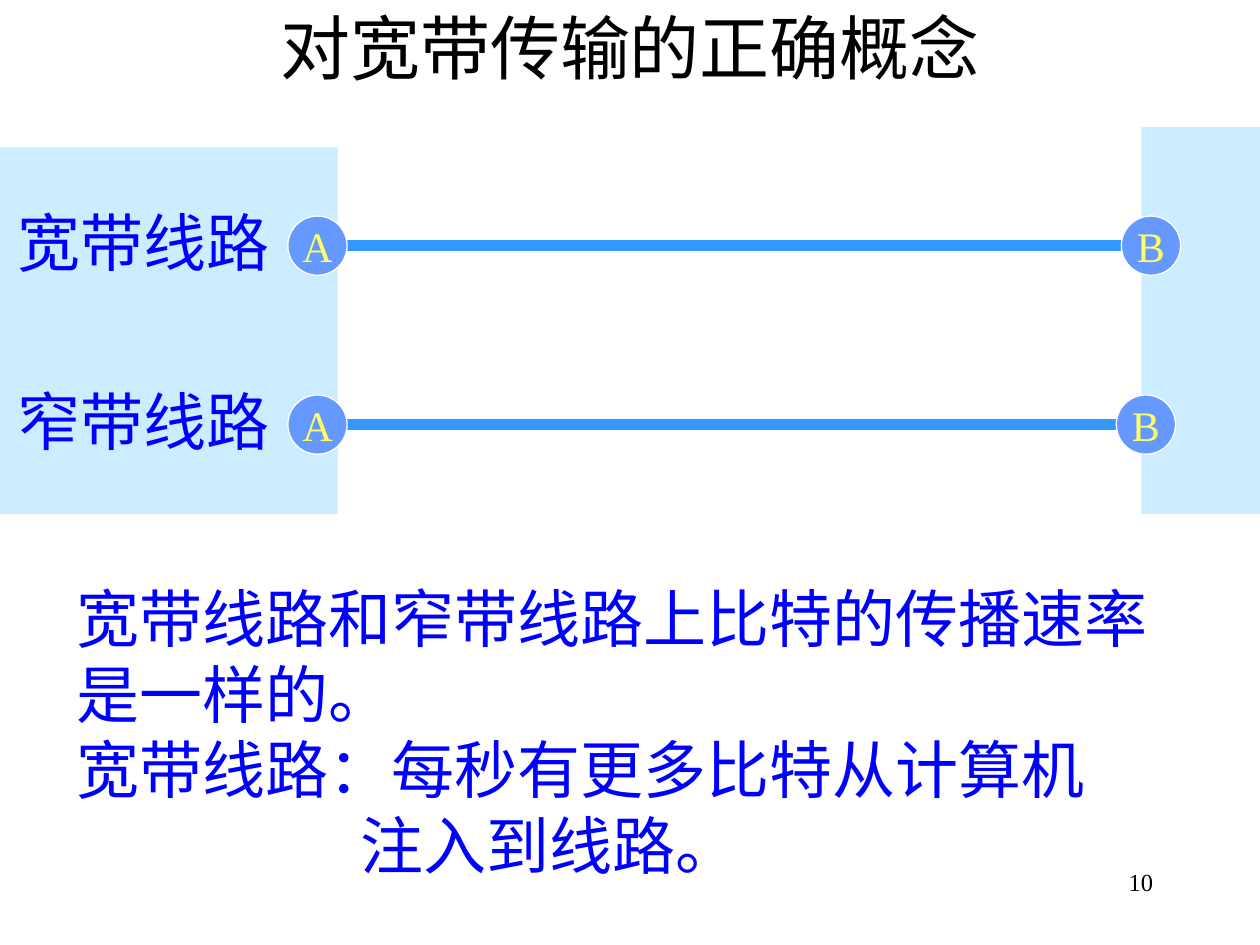
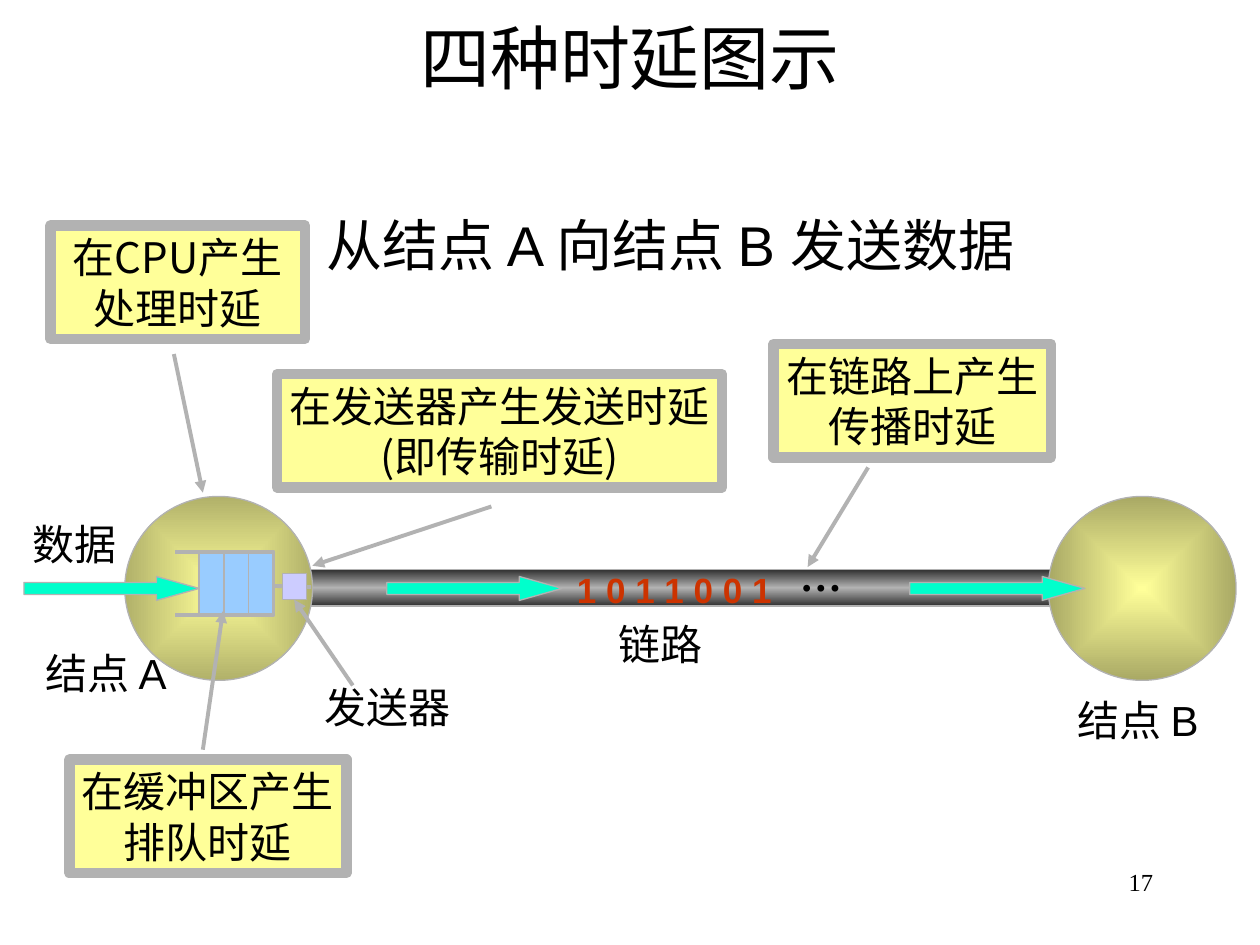
from lxml import etree
from pptx import Presentation
from pptx.dml.color import RGBColor
from pptx.enum.shapes import MSO_CONNECTOR, MSO_SHAPE
from pptx.enum.text import MSO_ANCHOR, MSO_AUTO_SIZE, PP_ALIGN
from pptx.oxml.ns import nsdecls, qn
from pptx.oxml import parse_xml
from pptx.util import Inches, Pt

STRAIGHT = MSO_CONNECTOR.STRAIGHT
RECTANGLE, OVAL, ARROW = MSO_SHAPE.RECTANGLE, MSO_SHAPE.OVAL, MSO_SHAPE.RIGHT_ARROW
LEFT, CENTER, RIGHT = PP_ALIGN.LEFT, PP_ALIGN.CENTER, PP_ALIGN.RIGHT
TOP, MIDDLE = MSO_ANCHOR.TOP, MSO_ANCHOR.MIDDLE
NO_AUTOFIT = MSO_AUTO_SIZE.NONE

COLUMNS, ROWS = 100, 75
CELL = Inches(0.1)
SERIF, SANS, CHINESE = "Times New Roman", "Arial", "Noto Sans CJK SC"
LINE_HEIGHT = 1.2
BOTTOM_SIDE = 2

COLORS = {
    "black": "000000",
    "white": "FFFFFF",
    "text_blue": "0000FF",
    "panel": "CCECFF",
    "line": "3399FF",
    "endpoint": "6699FF",
    "endpoint_text": "FFFF66",
    "gray": "B2B2B2",
    "pipe_edge": "303030",
    "yellow": "FFFF99",
    "node_a_edge": "B1B16A",
    "node_b_edge": "A9A965",
    "queue": "99CCFF",
    "transmitter": "CCCCFF",
    "arrow": "00FFCC",
    "bits": "CC3300",
}


def color(name):
    return RGBColor.from_string(COLORS[name])


def grid(*cells):
    return [round(cell * CELL) for cell in cells]


def write(shape, text, size, font=SERIF, ink="black", align=LEFT, anchor=TOP,
          wrap=False, bold=False):
    frame = shape.text_frame
    frame.text = text
    frame.auto_size = NO_AUTOFIT
    frame.word_wrap = wrap
    frame.vertical_anchor = anchor
    for paragraph in frame.paragraphs:
        paragraph.alignment = align
        paragraph.line_spacing = Pt(size * LINE_HEIGHT)
        for run in paragraph.runs:
            run.font.name = font
            run.font.size = Pt(size)
            run.font.bold = bold
            run.font.color.rgb = color(ink)
            east_asian = etree.Element(qn("a:ea"), typeface=CHINESE)
            run.font._element.find(qn("a:latin")).addnext(east_asian)


def add_label(slide, box, text, size=24, **style):
    label = slide.shapes.add_textbox(*grid(*box))
    write(label, text, size, **style)
    return label


def outline(shape, name, width):
    if name:
        shape.line.color.rgb = color(name)
        shape.line.width = Pt(width)
    else:
        shape.line.fill.background()


def add_block(slide, kind, box, fill, line=None, width=0.75):
    shape = slide.shapes.add_shape(kind, *grid(*box))
    shape.shadow.inherit = False
    shape.fill.solid()
    shape.fill.fore_color.rgb = color(fill)
    outline(shape, line, width)
    return shape


def add_gradient_block(slide, kind, box, stops, direction):
    shape = add_block(slide, kind, box, stops[0][1], "gray")
    stop_list = "".join(
        f'<a:gs pos="{percent * 1000}"><a:srgbClr val="{COLORS[name]}"/></a:gs>'
        for percent, name in stops)
    gradient = parse_xml(f'<a:gradFill {nsdecls("a")} rotWithShape="1">'
                         f'<a:gsLst>{stop_list}</a:gsLst>{direction}</a:gradFill>')
    properties = shape._element.spPr
    properties.replace(properties.find(qn("a:solidFill")), gradient)
    return shape


def add_line(slide, points, name="gray", width=2.25, arrow=False):
    connector = slide.shapes.add_connector(STRAIGHT, *grid(*points))
    outline(connector, name, width)
    properties = connector._element.spPr
    if arrow:
        etree.SubElement(properties.find(qn("a:ln")), qn("a:tailEnd"), type="triangle")
    etree.SubElement(properties, qn("a:effectLst"))
    return connector


def add_base_slide(presentation, title, title_top, number):
    slide = presentation.slides.add_slide(presentation.slide_layouts[5])
    heading = slide.shapes.title
    heading.left, heading.top, heading.width, heading.height = grid(7.5, title_top, 85, 7.9)
    write(heading, title, 40, align=CENTER, anchor=MIDDLE, wrap=True)
    add_label(slide, (71.7, 68.3, 20.8, 5), number, 14, align=RIGHT, wrap=True)
    return slide


def add_endpoint(slide, center_column, center_row, letter):
    size = 4.7
    box = (center_column - size / 2, center_row - size / 2, size, size)
    endpoint = add_block(slide, OVAL, box, "endpoint", "white")
    write(endpoint, letter, 24, ink="endpoint_text", align=CENTER, anchor=MIDDLE)


def add_circuit(slide, name, row, end_column):
    start_column = 25.2
    add_line(slide, (start_column, row, end_column, row), "line", 6)
    add_endpoint(slide, start_column, row, "A")
    add_endpoint(slide, end_column, row, "B")
    add_label(slide, (0.4, row - 3.8, 22, 7), name, 36, ink="text_blue")


def add_node(slide, left, edge):
    center = '<a:path path="rect"><a:fillToRect l="50000" t="50000" r="50000" b="50000"/></a:path>'
    add_gradient_block(slide, OVAL, (left, 39.4, 14.9, 14.6),
                       [(0, "yellow"), (100, edge)], center)


def add_queue(slide):
    left, top, slot, height = 15.8, 43.8, 1.97, 5
    right, bottom, mouth = left + 3 * slot, top + height, 13.9
    add_block(slide, RECTANGLE, (left, top, 3 * slot, height), "queue", "gray")
    corners = [grid(*corner) for corner in ((right, top), (right, bottom), (mouth, bottom))]
    builder = slide.shapes.build_freeform(*grid(mouth, top))
    builder.add_line_segments(corners, close=False)
    frame = builder.convert_to_shape()
    frame.shadow.inherit = False
    frame.fill.background()
    outline(frame, "gray", 2.25)
    for index in range(3):
        column = left + index * slot
        add_line(slide, (column, top, column, bottom), width=0.75)


def add_data_arrow(slide, left):
    arrow = add_block(slide, ARROW, (left, 45.75, 13.9, 1.9), "arrow", "gray")
    arrow.adjustments[0] = 0.5
    arrow.adjustments[1] = 1.78


def add_delay_note(slide, left, top, width, text):
    note = add_block(slide, RECTANGLE, (left, top, width, 9), "yellow", "gray", 6)
    write(note, text, 24, font=CHINESE, align=CENTER)


def build_broadband_slide(presentation):
    slide = add_base_slide(presentation, "对宽带传输的正确概念", -0.3, "10")
    panel_bottom = 40.8
    for left, top, width in ((0, 11.7, 26.8), (90.6, 10.1, COLUMNS - 90.6)):
        add_block(slide, RECTANGLE, (left, top, width, panel_bottom - top), "panel")
    add_circuit(slide, "宽带线路", 19.5, 91.35)
    add_circuit(slide, "窄带线路", 33.7, 90.95)
    conclusion = add_label(
        slide, (5.1, 45.5, 90.6, 25),
        "宽带线路和窄带线路上比特的传播速率是一样的。\n"
        "宽带线路：每秒有更多比特从计算机\n注入到线路。",
        36, ink="text_blue", wrap=True)
    last_paragraph = conclusion.text_frame.paragraphs[-1]
    last_paragraph._p.get_or_add_pPr().set("marL", str(Inches(2.25)))


def build_delay_slide(presentation):
    slide = add_base_slide(presentation, "四种时延图示", 0.5, "17")
    add_gradient_block(slide, RECTANGLE, (23.8, 45.2, 60.4, 2.9),
                       [(0, "pipe_edge"), (50, "gray"), (100, "pipe_edge")],
                       '<a:lin ang="5400000" scaled="1"/>')
    add_node(slide, 9.9, "node_a_edge")
    add_node(slide, 83.2, "node_b_edge")
    add_queue(slide)
    add_line(slide, (21.7, 46.5, 24.7, 46.6))
    transmitter = add_block(slide, RECTANGLE, (22.4, 45.5, 1.9, 2.1), "transmitter", "gray")
    for left in (1.9, 30.7, 72.2):
        add_data_arrow(slide, left)

    add_label(slide, (44.8, 44.6, 17.5, 4.4), "1 0 1 1 0 0 1", 20,
              font=SANS, ink="bits", bold=True)
    add_label(slide, (62.5, 43.1, 5.3, 5), "…", bold=True)
    add_label(slide, (24.9, 16.2, 61.1, 6.4), "从结点 A 向结点 B 发送数据", 32, font=SANS)
    for left, top, width, text in (
            (1.6, 40.7, 8.6, "数据"),
            (48.1, 48.6, 8.6, "链路"),
            (24.8, 53.6, 12, "发送器"),
            (2.6, 50.9, 11.9, "结点 A"),
            (84.5, 54.6, 11.9, "结点 B")):
        add_label(slide, (left, top, width, 5), text, font=SANS)

    for left, top, width, text in (
            (4, 17.9, 20.2, "在CPU产生\n处理时延"),
            (22, 29.7, 35.3, "在发送器产生发送时延\n(即传输时延)"),
            (61.4, 27.3, 22, "在链路上产生\n传播时延"),
            (5.5, 60.3, 22, "在缓冲区产生\n排队时延")):
        add_delay_note(slide, left, top, width, text)

    for points in ((13.8, 28.1, 16.1, 39.1), (39, 40.2, 24.8, 44.9),
                   (68.9, 37.1, 64.1, 45), (16.1, 59.5, 17.7, 48.5)):
        add_line(slide, points, arrow=True)
    pointer = add_line(slide, (28, 54.4, 23.2, 47.3), arrow=True)
    pointer.end_connect(transmitter, BOTTOM_SIDE)


def main():
    presentation = Presentation()
    presentation.slide_width, presentation.slide_height = grid(COLUMNS, ROWS)
    build_broadband_slide(presentation)
    build_delay_slide(presentation)
    presentation.save("out.pptx")


if __name__ == "__main__":
    main()
